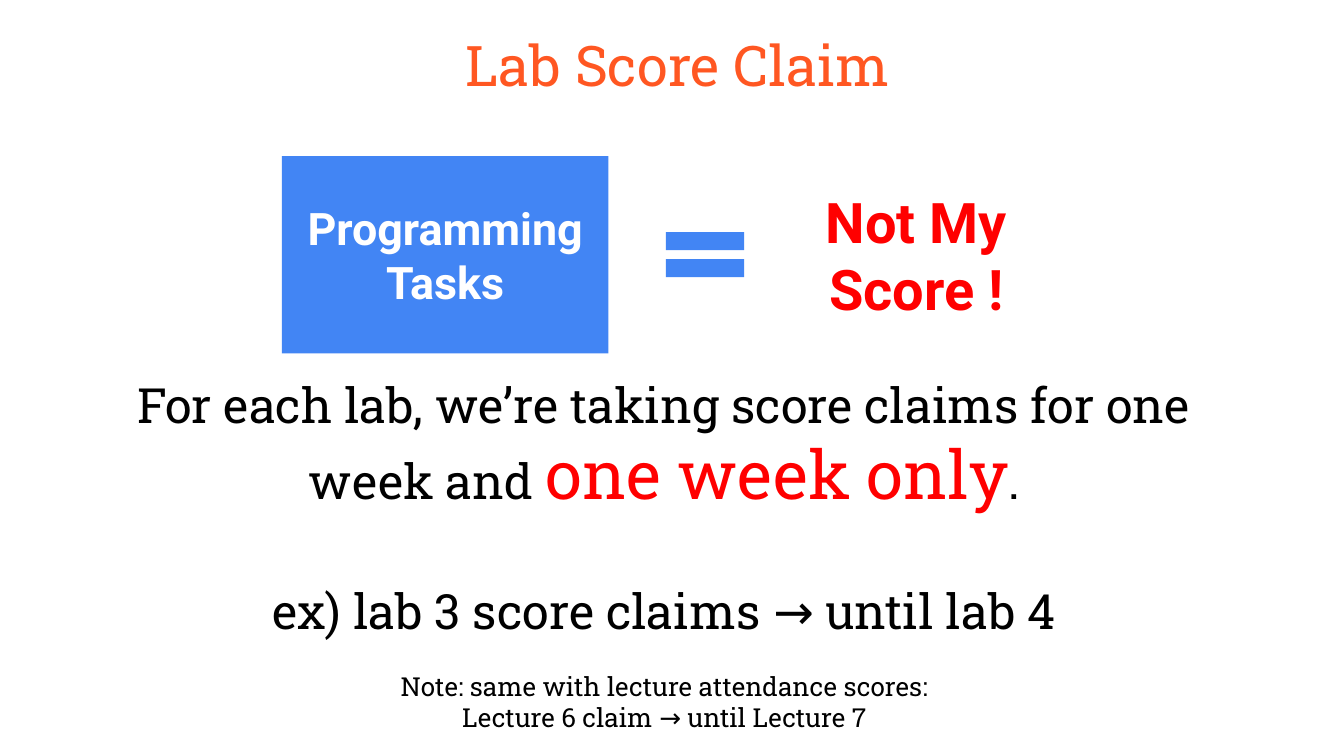
"""Build the lab score claim slide."""
from dataclasses import dataclass

from pptx import Presentation
from pptx.dml.color import RGBColor
from pptx.enum.shapes import MSO_SHAPE
from pptx.enum.text import MSO_ANCHOR, PP_ALIGN
from pptx.util import Cm, Pt


@dataclass(frozen=True)
class Theme:
    blue: str = "4285F4"
    white: str = "FFFFFF"
    red: str = "FF0000"
    orange: str = "FF5722"
    black: str = "000000"
    sans: str = "Roboto"
    slab: str = "Roboto Slab"
    note: int = 14
    task: int = 24
    body: int = 26
    head: int = 30
    loud: int = 36


theme = Theme()


def write(frame, text, size, color, font=theme.slab, bold=False, gap=0, join=False):
    """Add a run in a new paragraph, or in the last one when join is set."""
    if join or not frame.text:
        para = frame.paragraphs[-1]
    else:
        para = frame.add_paragraph()
    if not join:
        para.alignment = PP_ALIGN.CENTER
        para.space_before = Pt(gap)
    run = para.add_run()
    run.text = text
    run.font.size = Pt(size)
    run.font.name = font
    run.font.bold = bold
    run.font.color.rgb = RGBColor.from_string(color)


def setup(shape, anchor=MSO_ANCHOR.TOP):
    """Set wrap, anchor and insets, and return the text frame."""
    frame = shape.text_frame
    frame.word_wrap = True
    frame.vertical_anchor = anchor
    frame.margin_left = frame.margin_right = Cm(0.25)
    frame.margin_top = frame.margin_bottom = Cm(0.25)
    return frame


deck = Presentation()
deck.slide_width, deck.slide_height = Cm(25.4), Cm(14.29)
shapes = deck.slides.add_slide(deck.slide_layouts[6]).shapes

row_top, row_high = Cm(2.95), Cm(3.73)
tasks = shapes.add_shape(MSO_SHAPE.RECTANGLE, Cm(5.33), row_top, Cm(6.17), row_high)
equal = shapes.add_shape(MSO_SHAPE.MATH_EQUAL, Cm(12.32), Cm(4.09), Cm(2.01), Cm(1.45))
for shape in (tasks, equal):
    shape.shadow.inherit = False
    shape.fill.solid()
    shape.fill.fore_color.rgb = RGBColor.from_string(theme.blue)
    shape.line.fill.background()

frame = setup(tasks, MSO_ANCHOR.MIDDLE)
for word in ("Programming", "Tasks"):
    write(frame, word, theme.task, theme.white, font=theme.sans, bold=True)

score = shapes.add_textbox(Cm(15.16), row_top, Cm(4.32), row_high)
write(setup(score, MSO_ANCHOR.MIDDLE), "Not My Score !", theme.head, theme.red,
      font=theme.sans, bold=True)

title = shapes.add_textbox(Cm(2.46), Cm(0.33), Cm(20.7), Cm(1.14))
write(setup(title), "Lab Score Claim", theme.head, theme.orange)

rules = setup(shapes.add_textbox(Cm(2.21), Cm(6.83), Cm(20.7), Cm(6.02)))
write(rules, "For each lab, we’re taking score claims for one week and ",
      theme.body, theme.black)
write(rules, "one week only", theme.loud, theme.red, join=True)
write(rules, ".", theme.body, theme.black, join=True)
write(rules, "ex) lab 3 score claims → until lab 4", theme.body, theme.black, gap=36)
write(rules, "Note: same with lecture attendance scores:", theme.note, theme.black, gap=17)
write(rules, "Lecture 6 claim → until Lecture 7", theme.note, theme.black)

deck.save("out.pptx")
